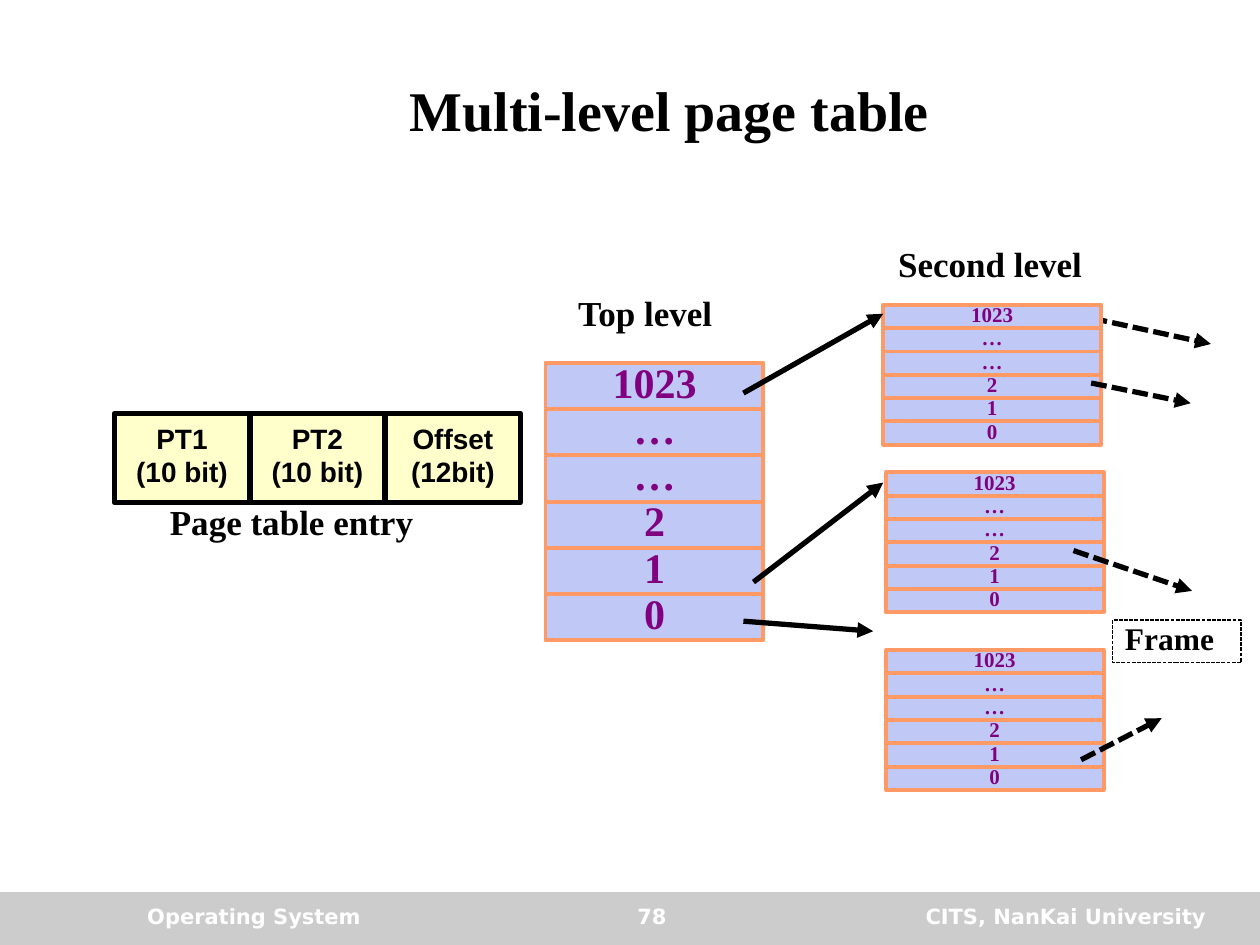
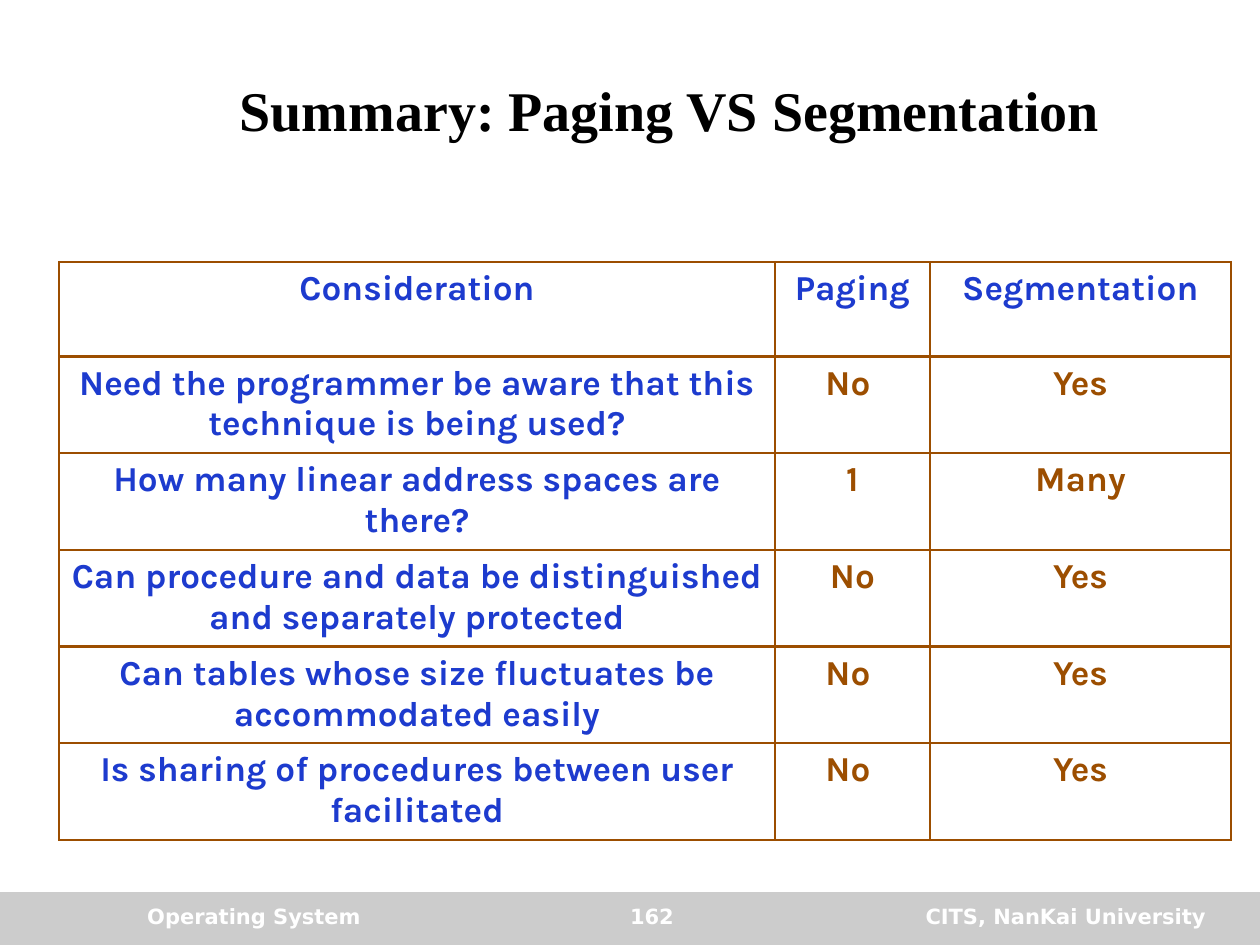
"""Build two operating-system slides: multi-level page tables, and paging versus segmentation."""
from lxml.etree import SubElement
from pptx import Presentation
from pptx.dml.color import RGBColor as RGB
from pptx.enum.dml import MSO_LINE as DASH
from pptx.enum.shapes import MSO_CONNECTOR as CONNECTOR, MSO_SHAPE as SHAPE
from pptx.enum.text import MSO_ANCHOR as ANCHOR, PP_ALIGN as ALIGN
from pptx.oxml import parse_xml
from pptx.oxml.ns import nsdecls, qn
from pptx.util import Inches, Pt

COLORS = {
    "ink": "000000", "paper": "FFFFFF", "band": "CCCCCC",
    "field": "FFFFCC", "entry": "C0C9F6", "entry_edge": "FF9966", "entry_text": "800080",
    "question": "1D3BCE", "answer": "9C4E00",
}
SERIF, SANS, FOOTER_FONT, TABLE_FONT = "Times New Roman", "Arial", "DejaVu Sans", "Karla"


def write(frame, lines, size, font=SERIF, color="ink", align=ALIGN.LEFT, spacing=0.8):
    """Fill a text frame with one bold paragraph per line."""
    for index, line in enumerate(lines):
        paragraph = frame.add_paragraph() if index else frame.paragraphs[0]
        paragraph.alignment = align
        paragraph.line_spacing = spacing
        paragraph.space_before = Pt(size * 0.2)
        run = paragraph.add_run()
        run.text = line
        run.font.size, run.font.name, run.font.bold = Pt(size), font, True
        run.font.color.rgb = RGB.from_string(COLORS[color])


def box(slide, at, fill=None, edge=None, width=0, anchor=ANCHOR.MIDDLE, wrap=False):
    """Add a rectangle without shadow and return it."""
    rect = slide.shapes.add_shape(SHAPE.RECTANGLE, *map(Inches, at))
    rect.shadow.inherit = False
    if fill:
        rect.fill.solid()
        rect.fill.fore_color.rgb = RGB.from_string(COLORS[fill])
    else:
        rect.fill.background()
    if edge:
        rect.line.color.rgb = RGB.from_string(COLORS[edge])
        rect.line.width = Pt(width)
    else:
        rect.line.fill.background()
    rect.text_frame.word_wrap = wrap
    rect.text_frame.vertical_anchor = anchor
    return rect


prs = Presentation()
prs.slide_width, prs.slide_height = Inches(10), Inches(7.5)

slides, bands = [], []
for title, number in (("Multi-level page table", "78"), ("Summary: Paging VS Segmentation", "162")):
    slide = prs.slides.add_slide(prs.slide_layouts[6])
    slides.append(slide)
    bands.append(box(slide, (0, 7.08, 10, 0.42), "band"))
    heading = slide.shapes.add_textbox(*map(Inches, (1.06, 0.33, 8.51, 1.07))).text_frame
    heading.word_wrap = True
    heading.vertical_anchor = ANCHOR.MIDDLE
    write(heading, [title], 32, align=ALIGN.CENTER, spacing=1.0)
    for text, left, width, align in (
        ("Operating System", 1.07, 2.75, ALIGN.LEFT),
        ("CITS, NanKai University", 6.5, 3.17, ALIGN.RIGHT),
        (number, 4.01, 2.33, ALIGN.CENTER),
    ):
        footer = slide.shapes.add_textbox(*map(Inches, (left, 7.12, width, 0.33))).text_frame
        footer.word_wrap = True
        write(footer, [text], 12, FOOTER_FONT, "paper", align, 1.0)

paging, summary = slides

for column, field in enumerate((("PT1", "(10 bit)"), ("PT2", "(10 bit)"), ("Offset", "(12bit)"))):
    part = box(paging, (0.91 + column * 1.075, 3.28, 1.07, 0.71), "field", "ink", 3)
    write(part.text_frame, field, 16, SANS, align=ALIGN.CENTER)

for text, left, top, width in (
    ("Page table entry", 1.25, 3.99, 2.34),
    ("Top level", 4.49, 2.33, 1.42),
    ("Second level", 7.03, 1.94, 1.8),
):
    caption = paging.shapes.add_textbox(*map(Inches, (left, top, width, 0.37))).text_frame
    caption.word_wrap = True
    write(caption, [text], 20)

frame_label = box(paging, (8.83, 4.92, 1.02, 0.34), None, "ink", 0.75, ANCHOR.TOP, True)
frame_label.line.dash_style = DASH.SQUARE_DOT
write(frame_label.text_frame, ["Frame"], 18)

for left, top, pitch, size in (
    (4.33, 2.88, 0.367, 24),
    (7.01, 2.42, 0.185, 12),
    (7.03, 3.75, 0.185, 12),
    (7.03, 5.16, 0.185, 12),
):
    for row, index in enumerate(("1023", "…", "…", "2", "1", "0")):
        entry = box(paging, (left, top + row * pitch, 1.73, pitch), "entry", "entry_edge", 2.25)
        write(entry.text_frame, [index], size, color="entry_text", align=ALIGN.CENTER)

for start_x, start_y, end_x, end_y, to_frame, behind in (
    (8.5, 2.49, 9.61, 2.73, True, True),
    (5.9, 4.93, 6.93, 5.01, False, False),
    (5.98, 4.62, 7.01, 3.83, False, False),
    (5.9, 3.12, 7.01, 2.49, False, False),
    (8.66, 3.04, 9.45, 3.2, True, False),
    (8.52, 4.37, 9.46, 4.69, True, False),
    (8.58, 6.03, 9.22, 5.7, True, False),
):
    pointer = paging.shapes.add_connector(
        CONNECTOR.STRAIGHT, *map(Inches, (start_x, start_y, end_x, end_y)))
    pointer.line.color.rgb = RGB.from_string(COLORS["ink"])
    pointer.line.width = Pt(3)
    if to_frame:
        pointer.line.dash_style = DASH.SQUARE_DOT
    properties = pointer.element.spPr
    SubElement(properties.find(qn("a:ln")), qn("a:tailEnd"), type="triangle")
    SubElement(properties, qn("a:effectLst"))
    if behind:
        bands[0].element.addnext(pointer.element)

comparison = (
    ("Consideration", "Paging", "Segmentation"),
    ("Need the programmer be aware that this technique is being used?", "No ", "Yes"),
    ("How many linear address spaces are there?", "1", "Many"),
    ("Can procedure and data be distinguished and separately protected", "No", "Yes"),
    ("Can tables whose size fluctuates be accommodated easily", "No ", "Yes"),
    ("Is sharing of procedures between user facilitated", "No ", "Yes"),
)
grid = summary.shapes.add_table(6, 3, *map(Inches, (0.47, 2.08, 9.3, 4.5))).table
grid.first_row = grid.horz_banding = False
for column, width in zip(grid.columns, (5.68, 1.23, 2.39)):
    column.width = Inches(width)
for r, texts in enumerate(comparison):
    grid.rows[r].height = Inches(0.75)
    for c, text in enumerate(texts):
        cell = grid.cell(r, c)
        cell.fill.solid()
        cell.fill.fore_color.rgb = RGB.from_string(COLORS["paper"])
        color = "answer" if r and c else "question"
        write(cell.text_frame, [text], 20, TABLE_FONT, color, ALIGN.CENTER, 1.0)
        for position, side in enumerate("LRTB"):
            cell.fill._xPr.insert(position, parse_xml(
                f'<a:ln{side} {nsdecls("a")} w="{Pt(1.5)}"><a:solidFill>'
                f'<a:srgbClr val="{COLORS["answer"]}"/></a:solidFill></a:ln{side}>'))

prs.save("out.pptx")
